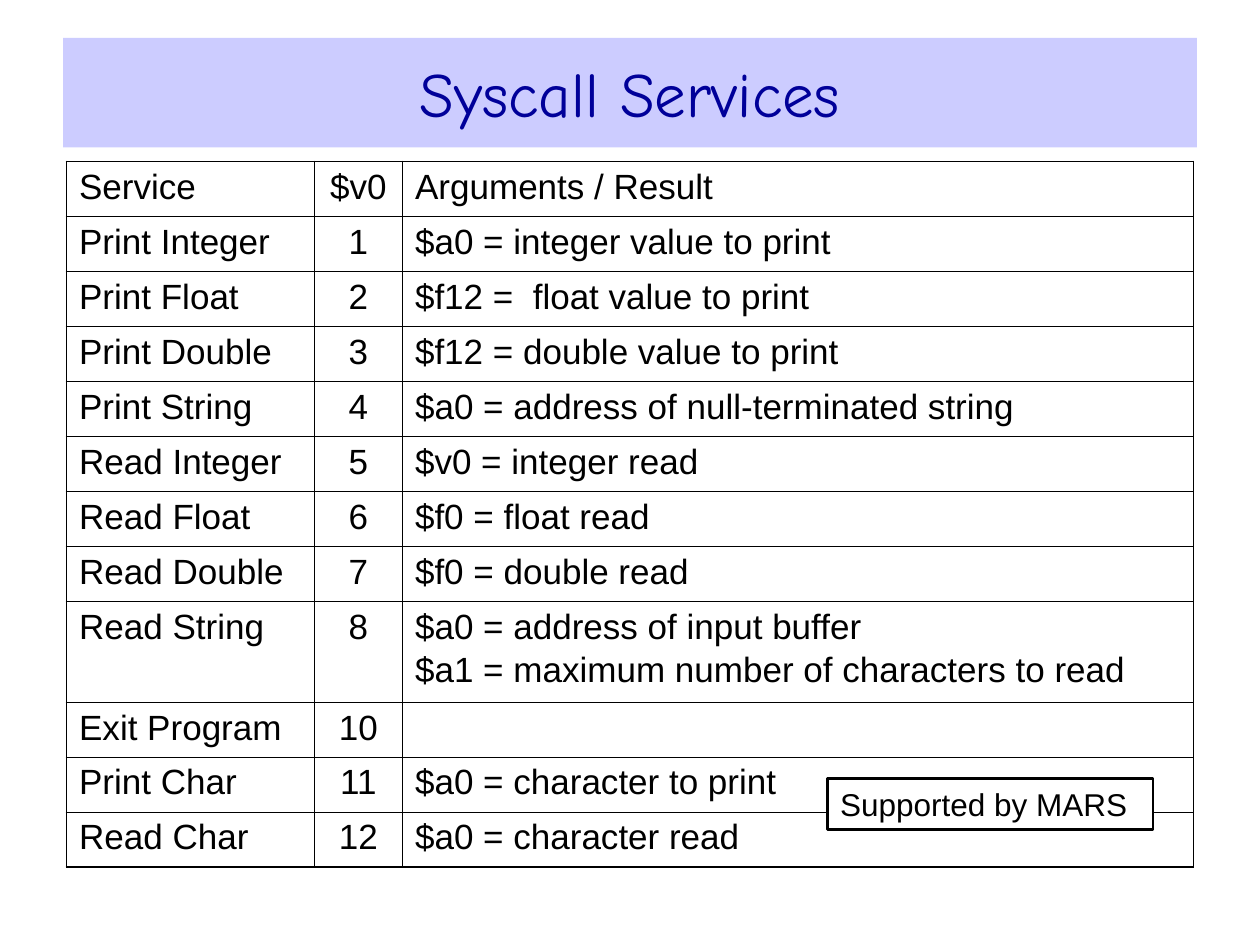
from pptx import Presentation
from pptx.dml.color import RGBColor
from pptx.enum.shapes import MSO_SHAPE as Shape
from pptx.enum.text import MSO_ANCHOR as Anchor, PP_ALIGN as Align
from pptx.util import Pt
from lxml.etree import SubElement
from pptx.oxml.ns import qn

BLACK = RGBColor(0x00, 0x00, 0x00)
WHITE = RGBColor(0xFF, 0xFF, 0xFF)
NAVY = RGBColor(0x00, 0x00, 0x99)
LILAC = RGBColor(0xCC, 0xCC, 0xFF)
THIN, THICK = Pt(0.45), Pt(1.08)

ROWS = [
    ("Service", "$v0", "Arguments / Result"),
    ("Print Integer", "1", "$a0 = integer value to print"),
    ("Print Float", "2", "$f12 =  float value to print"),
    ("Print Double", "3", "$f12 = double value to print"),
    ("Print String", "4", "$a0 = address of null-terminated string"),
    ("Read Integer", "5", "$v0 = integer read"),
    ("Read Float", "6", "$f0 = float read"),
    ("Read Double", "7", "$f0 = double read"),
    ("Read String", "8", "$a0 = address of input buffer\n"
                         "$a1 = maximum number of characters to read"),
    ("Exit Program", "10", ""),
    ("Print Char", "11", "$a0 = character to print"),
    ("Read Char", "12", "$a0 = character read"),
]
WIDTHS = [141.7, 50.3, 452]
LOW, TALL = 31.43, 57.7


def style(para, size, name, color):
    para.font.size = Pt(size)
    para.font.name = name
    para.font.color.rgb = color


def border(cell, side, width):
    line = SubElement(cell._tc.get_or_add_tcPr(), qn("a:ln" + side), w=str(width))
    fill = SubElement(line, qn("a:solidFill"))
    SubElement(fill, qn("a:srgbClr"), val=str(BLACK))


deck = Presentation()
deck.slide_width, deck.slide_height = Pt(720), Pt(540)
slide = deck.slides.add_slide(deck.slide_layouts[5])

# Title band
title = slide.shapes.title
title.left, title.top, title.width, title.height = Pt(36), Pt(21.6), Pt(648), Pt(62.6)
title.fill.solid()
title.fill.fore_color.rgb = LILAC
title.text_frame.text = "Syscall Services"
title.text_frame.vertical_anchor = Anchor.MIDDLE
head = title.text_frame.paragraphs[0]
head.alignment = Align.CENTER
style(head, 36, "Comic Neue", NAVY)

# Table of services
heights = [TALL if "\n" in row[2] else LOW for row in ROWS]
frame = slide.shapes.add_table(len(ROWS), len(WIDTHS), Pt(38), Pt(92.2),
                               Pt(sum(WIDTHS)), Pt(sum(heights)))
table = frame.table
table.first_row = table.horz_banding = False
for col, width in zip(table.columns, WIDTHS):
    col.width = Pt(width)
for row, height in zip(table.rows, heights):
    row.height = Pt(height)

for r, row in enumerate(ROWS):
    for c, text in enumerate(row):
        cell = table.cell(r, c)
        cell.text = text
        cell.margin_left = cell.margin_right = Pt(7.2)
        cell.margin_top = cell.margin_bottom = Pt(3.6)
        for n, para in enumerate(cell.text_frame.paragraphs):
            para.alignment = Align.CENTER if c == 1 else Align.LEFT
            if n:
                para.space_before = Pt(2.5)
            style(para, 20, "Arial", BLACK)
        # Thick outer frame, thin inner rules
        outer = {"L": c == 0, "R": c == len(row) - 1,
                 "T": r == 0, "B": r == len(ROWS) - 1}
        for side, edge in outer.items():
            border(cell, side, THICK if edge else THIN)
        cell.fill.background()

# Note on the last rows
note = slide.shapes.add_shape(Shape.RECTANGLE, Pt(473), Pt(445), Pt(186), Pt(29))
note.shadow.inherit = False
note.fill.solid()
note.fill.fore_color.rgb = WHITE
note.line.color.rgb = BLACK
note.line.width = Pt(1.5)
note.text_frame.text = "Supported by MARS"
note.text_frame.word_wrap = True
note.text_frame.vertical_anchor = Anchor.MIDDLE
label = note.text_frame.paragraphs[0]
label.alignment = Align.LEFT
style(label, 18, "Arial", BLACK)

deck.save("out.pptx")
